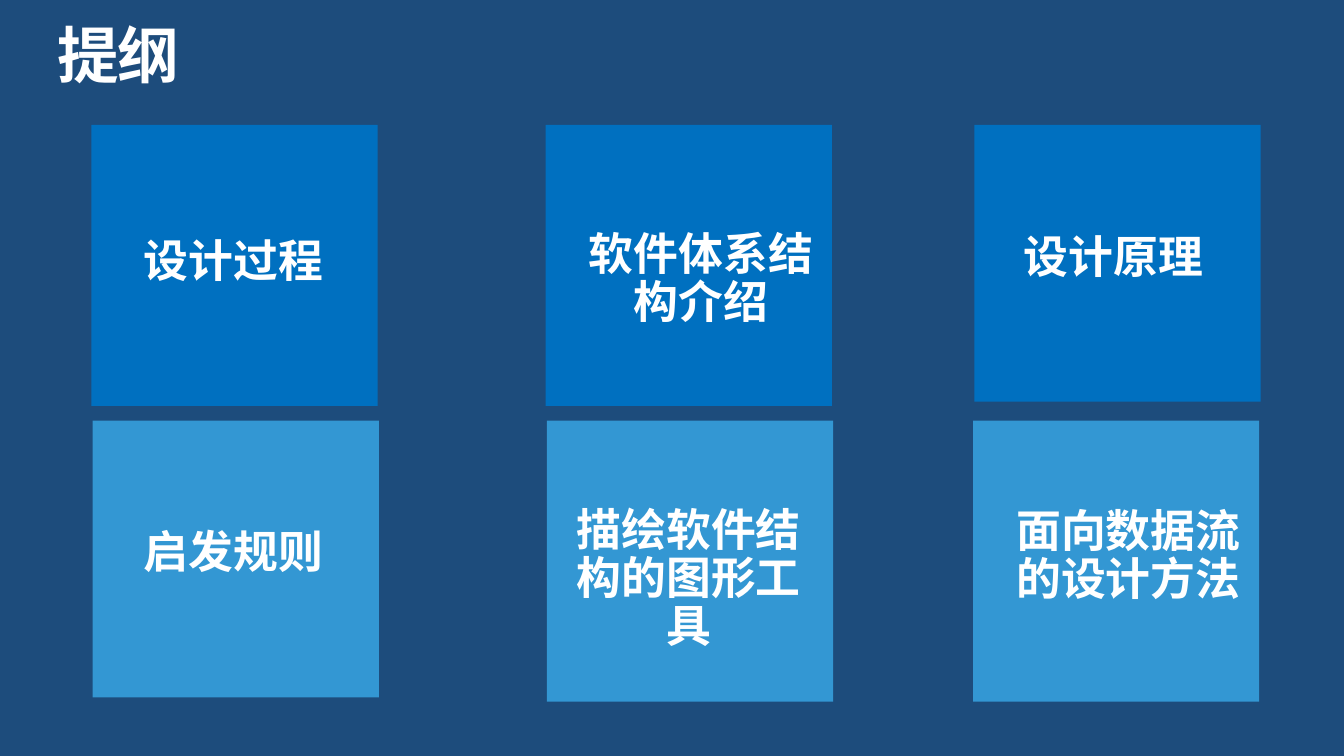
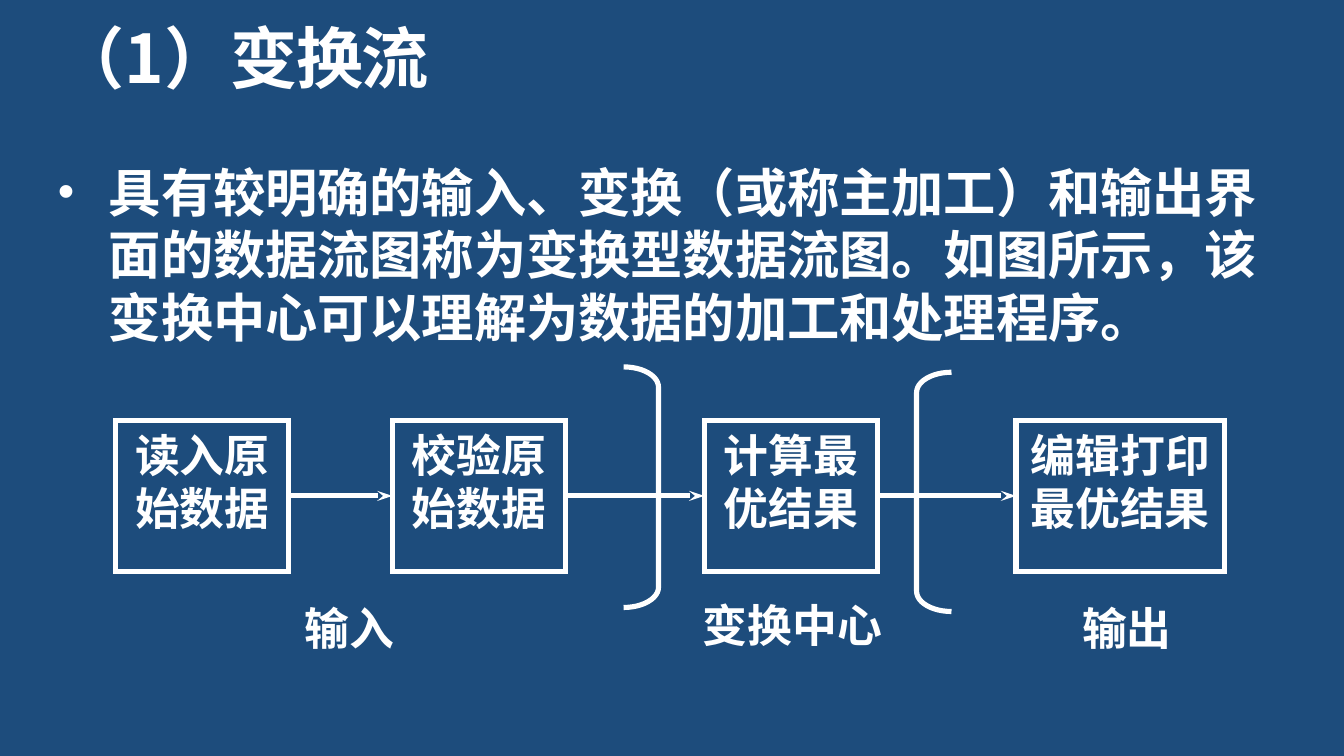
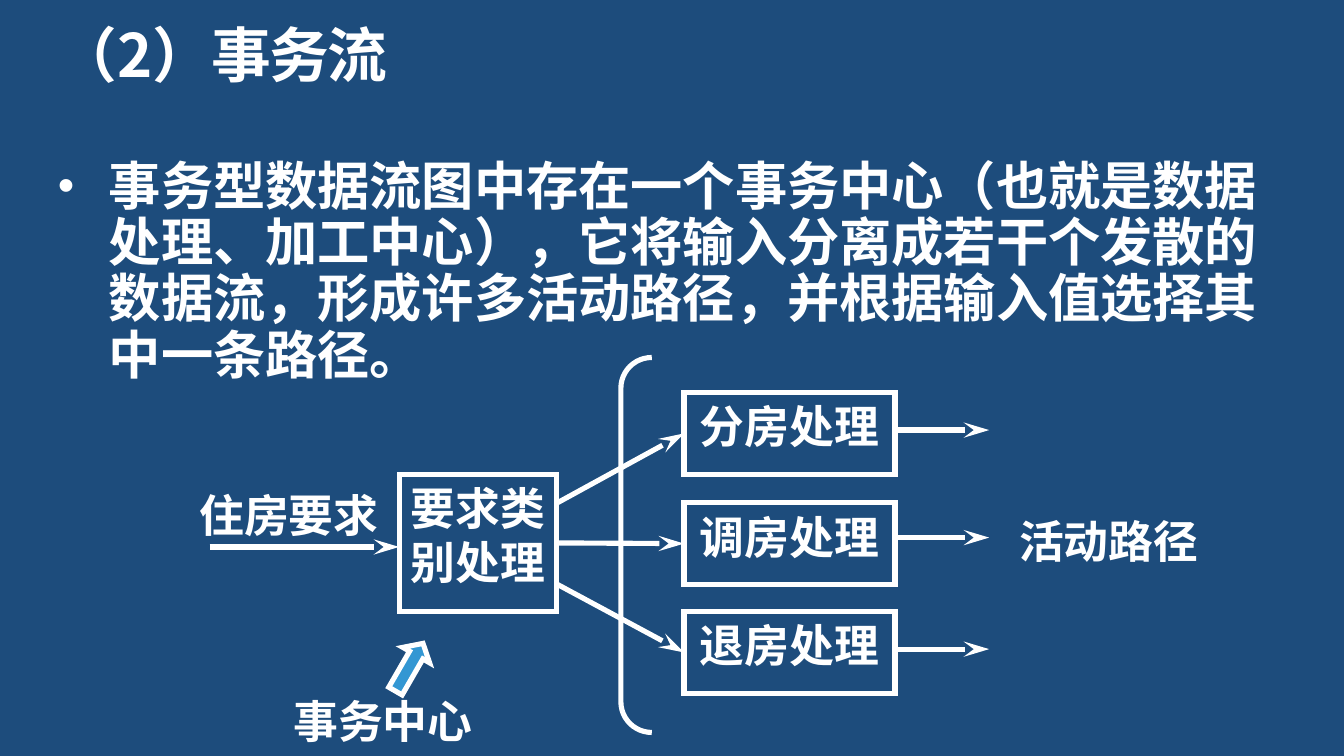
from pptx import Presentation
from pptx.dml.color import RGBColor
from pptx.enum.shapes import MSO_CONNECTOR, MSO_SHAPE
from pptx.enum.text import MSO_ANCHOR as ANCHOR, PP_ALIGN as ALIGN
from pptx.oxml.ns import qn
from pptx.util import Inches, Pt
from lxml.etree import SubElement

rgb = RGBColor.from_string
NAVY, BLUE, SKY, WHITE = "1D4C7C", "0070C0", "3397D3", "FFFFFF"
SANS, SERIF = "Noto Sans CJK SC", "Times New Roman"
OUTLINE = Pt(2.75)


def write(shape, text, size=24, font=SANS, align=ALIGN.CENTER, spacing=1.0, inset=0):
    frame = shape.text_frame
    frame.word_wrap = True
    frame.vertical_anchor = ANCHOR.TOP
    frame.margin_left = frame.margin_right = 0
    frame.margin_top = frame.margin_bottom = Inches(inset)
    frame.text = text
    paragraph = frame.paragraphs[0]
    paragraph.alignment = align
    paragraph.line_spacing = spacing
    run = paragraph.runs[0]
    run.font.size = Pt(size)
    run.font.bold = True
    run.font.name = font
    run.font.color.rgb = rgb(WHITE)
    SubElement(run.font._element, qn("a:ea")).set("typeface", SANS)
    return paragraph


def draw_arrow(slide, start, end, source=None, target=None, width="med", length="lg"):
    flow = slide.shapes.add_connector(MSO_CONNECTOR.STRAIGHT, *map(Inches, start + end))
    if source is not None:
        flow.begin_connect(source, 3)
    if target is not None:
        flow.end_connect(target, 1)
    flow.line.color.rgb = rgb(WHITE)
    flow.line.width = OUTLINE
    properties = flow.element.spPr
    tip = SubElement(properties.find(qn("a:ln")), qn("a:tailEnd"))
    tip.set("type", "stealth")
    tip.set("w", width)
    tip.set("len", length)
    SubElement(properties, qn("a:effectLst"))


deck = Presentation()
deck.slide_width, deck.slide_height = Inches(10), Inches(10 * 9 / 16)

pages = []
for heading, size, height in [("提纲", 33, 0.5), ("（1）变换流", 36, 0.55), ("（2）事务流", 32, 0.48)]:
    page = deck.slides.add_slide(deck.slide_layouts[6])
    page.background.fill.solid()
    page.background.fill.fore_color.rgb = rgb(NAVY)
    title = page.shapes.add_textbox(Inches(0.43), Inches(0.19), Inches(9.15), Inches(height))
    line = write(title, heading, size, align=ALIGN.LEFT, spacing=0.9)
    line.runs[0].font._element.set("spc", "-80")
    pages.append(page)
outline, transform, transaction = pages

topics = [
    ("设计过程", BLUE, (0.68, 0.93, 2.09), (0.84, 1.78, 0.36)),
    ("软件体系结构介绍", BLUE, (4.06, 0.93, 2.09), (4.32, 1.72, 0.73)),
    ("设计原理", BLUE, (7.25, 0.93, 2.06), (7.39, 1.75, 0.36)),
    ("描绘软件结构的图形工具", SKY, (4.07, 3.13, 2.09), (4.23, 3.77, 1.09)),
    ("面向数据流的设计方法", SKY, (7.24, 3.13, 2.09), (7.5, 3.78, 0.73)),
    ("启发规则", SKY, (0.69, 3.13, 2.06), (0.84, 3.94, 0.36)),
]
for topic, color, (left, top, height), (text_left, text_top, text_height) in topics:
    tile = outline.shapes.add_shape(
        MSO_SHAPE.RECTANGLE, Inches(left), Inches(top), Inches(2.13), Inches(height))
    tile.shadow.inherit = False
    tile.fill.solid()
    tile.fill.fore_color.rgb = rgb(color)
    tile.line.fill.background()
    label = outline.shapes.add_textbox(
        Inches(text_left), Inches(text_top), Inches(1.79), Inches(text_height))
    write(label, topic, spacing=0.9)
    label.text_frame.vertical_anchor = ANCHOR.MIDDLE

explanations = [
    (transform, 1.41, 1.0,
     "具有较明确的输入、变换（或称主加工）和输出界面的数据流图称为变换型数据流图。"
     "如图所示，该变换中心可以理解为数据的加工和处理程序。"),
    (transaction, 1.7, 0.9,
     "事务型数据流图中存在一个事务中心（也就是数据处理、加工中心），它将输入分离成若干个发散的数据流，"
     "形成许多活动路径，并根据输入值选择其中一条路径。"),
]
for page, height, spacing, explanation in explanations:
    body = page.shapes.add_textbox(Inches(0.43), Inches(1.19), Inches(9.15), Inches(height))
    paragraph = write(body, explanation, 28, align=ALIGN.LEFT, spacing=spacing)
    indents = paragraph._p.get_or_add_pPr()
    indents.set("marL", str(Inches(0.38)))
    indents.set("indent", str(-Inches(0.38)))
    SubElement(indents, qn("a:buSzPct")).set("val", "90000")
    SubElement(indents, qn("a:buFont")).set("typeface", "Arial")
    SubElement(indents, qn("a:buChar")).set("char", "•")

steps = [
    (transform, SANS, "读入原始数据", 0.86, 3.13, 1.29, 1.12),
    (transform, SANS, "校验原始数据", 2.92, 3.13, 1.29, 1.12),
    (transform, SANS, "计算最优结果", 5.24, 3.13, 1.29, 1.12),
    (transform, SANS, "编辑打印最优结果", 7.56, 3.13, 1.55, 1.12),
    (transaction, SERIF, "要求类别处理", 2.97, 3.53, 1.17, 1.02),
    (transaction, SERIF, "分房处理", 5.09, 2.92, 1.57, 0.61),
    (transaction, SERIF, "调房处理", 5.09, 3.74, 1.57, 0.61),
    (transaction, SERIF, "退房处理", 5.09, 4.55, 1.57, 0.61),
]
processes = []
for page, font, step, *place in steps:
    process = page.shapes.add_shape(MSO_SHAPE.RECTANGLE, *map(Inches, place))
    process.shadow.inherit = False
    process.fill.background()
    process.line.color.rgb = rgb(WHITE)
    process.line.width = OUTLINE
    SubElement(process.element.spPr.find(qn("a:ln")), qn("a:miter")).set("lim", "800000")
    write(process, step, font=font, inset=0.05)
    processes.append(process)
chain, center, branches = processes[:4], processes[4], processes[5:]

for source, target in zip(chain, chain[1:]):
    draw_arrow(transform, (0, 0), (1, 0), source, target, width="sm", length="med")

draw_arrow(transaction, (1.56, 4.07), (2.97, 4.07))
for branch, exit_y, path_y in zip(branches, (3.74, 4.05, 4.35), (3.2, 4, 4.83)):
    source = center if branch is branches[1] else None
    draw_arrow(transaction, (4.15, exit_y), (5.09, path_y), source, branch)
    draw_arrow(transaction, (6.65, path_y), (7.36, path_y))

boundaries = [
    (transform, MSO_SHAPE.RIGHT_BRACKET, 0.58, 4.64, 2.73, 0.26, 1.79),
    (transform, MSO_SHAPE.LEFT_BRACKET, 0.58, 6.82, 2.77, 0.26, 1.78),
    (transaction, MSO_SHAPE.LEFT_BRACKET, 0.99, 4.62, 2.66, 0.23, 2.79),
]
for page, bracket, curve, *place in boundaries:
    boundary = page.shapes.add_shape(bracket, *map(Inches, place))
    boundary.adjustments[0] = curve
    boundary.shadow.inherit = False
    boundary.fill.background()
    boundary.line.color.rgb = rgb(WHITE)
    boundary.line.width = OUTLINE

captions = [
    (transform, SANS, "输入", 2.03, 4.47, 1.14, 0.45),
    (transform, SANS, "变换中心", 5.12, 4.45, 1.55, 0.45),
    (transform, SANS, "输出", 7.82, 4.47, 1.13, 0.45),
    (transaction, SERIF, "住房要求", 1.33, 3.63, 1.64, 0.41),
    (transaction, SERIF, "事务中心", 2.03, 5.16, 1.64, 0.41),
    (transaction, SERIF, "活动路径", 7.43, 3.82, 1.64, 0.41),
]
for page, font, caption, *place in captions:
    write(page.shapes.add_textbox(*map(Inches, place)), caption, font=font)

pointer = transaction.shapes.add_shape(
    MSO_SHAPE.UP_ARROW, Inches(2.93), Inches(4.76), Inches(0.23), Inches(0.41))
pointer.rotation = 30
pointer.adjustments[1] = 0.44
pointer.shadow.inherit = False
pointer.fill.solid()
pointer.fill.fore_color.rgb = rgb(SKY)
pointer.line.color.rgb = rgb(WHITE)
pointer.line.width = OUTLINE
SubElement(pointer.element.spPr.find(qn("a:ln")), qn("a:miter")).set("lim", "800000")

deck.save("out.pptx")
